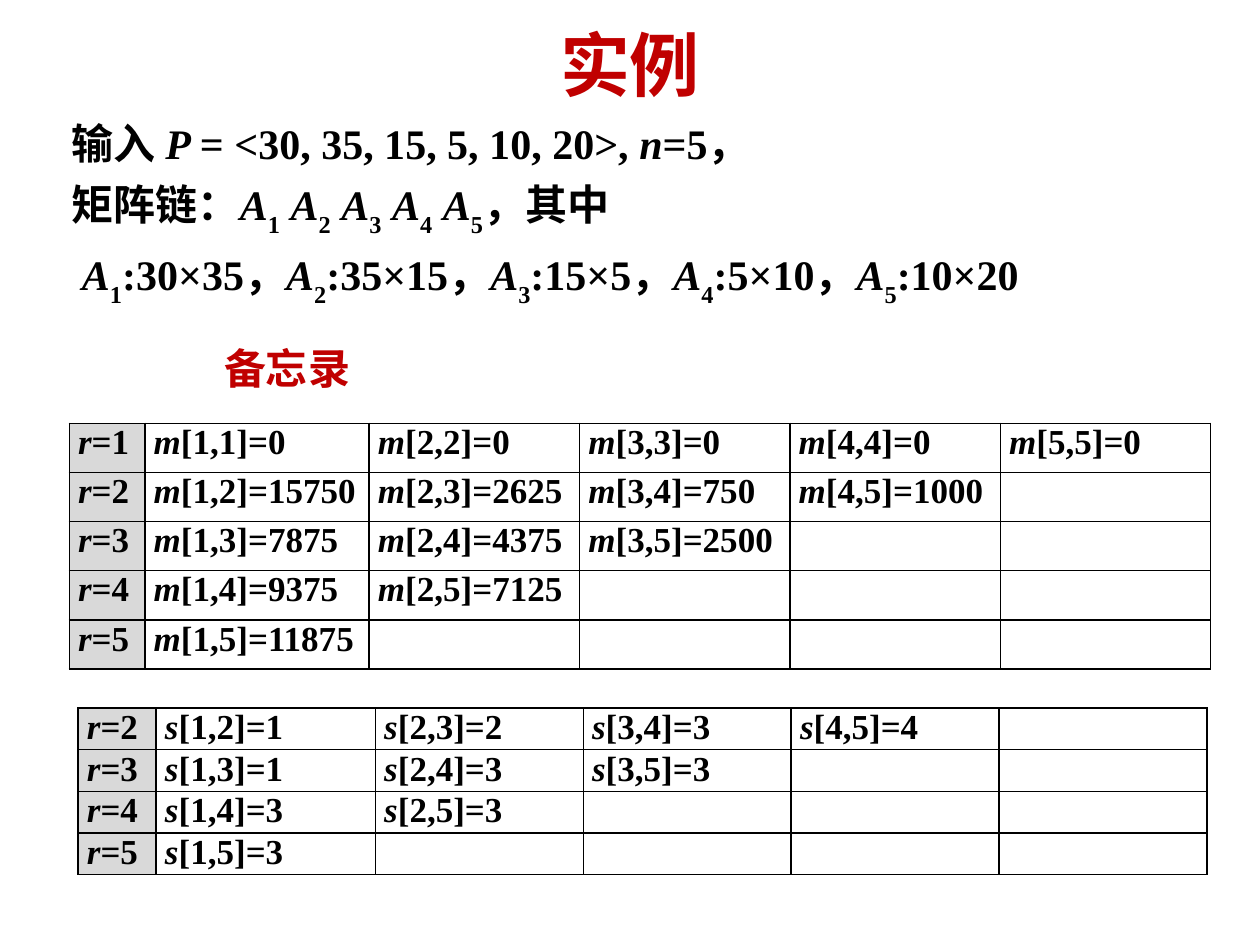
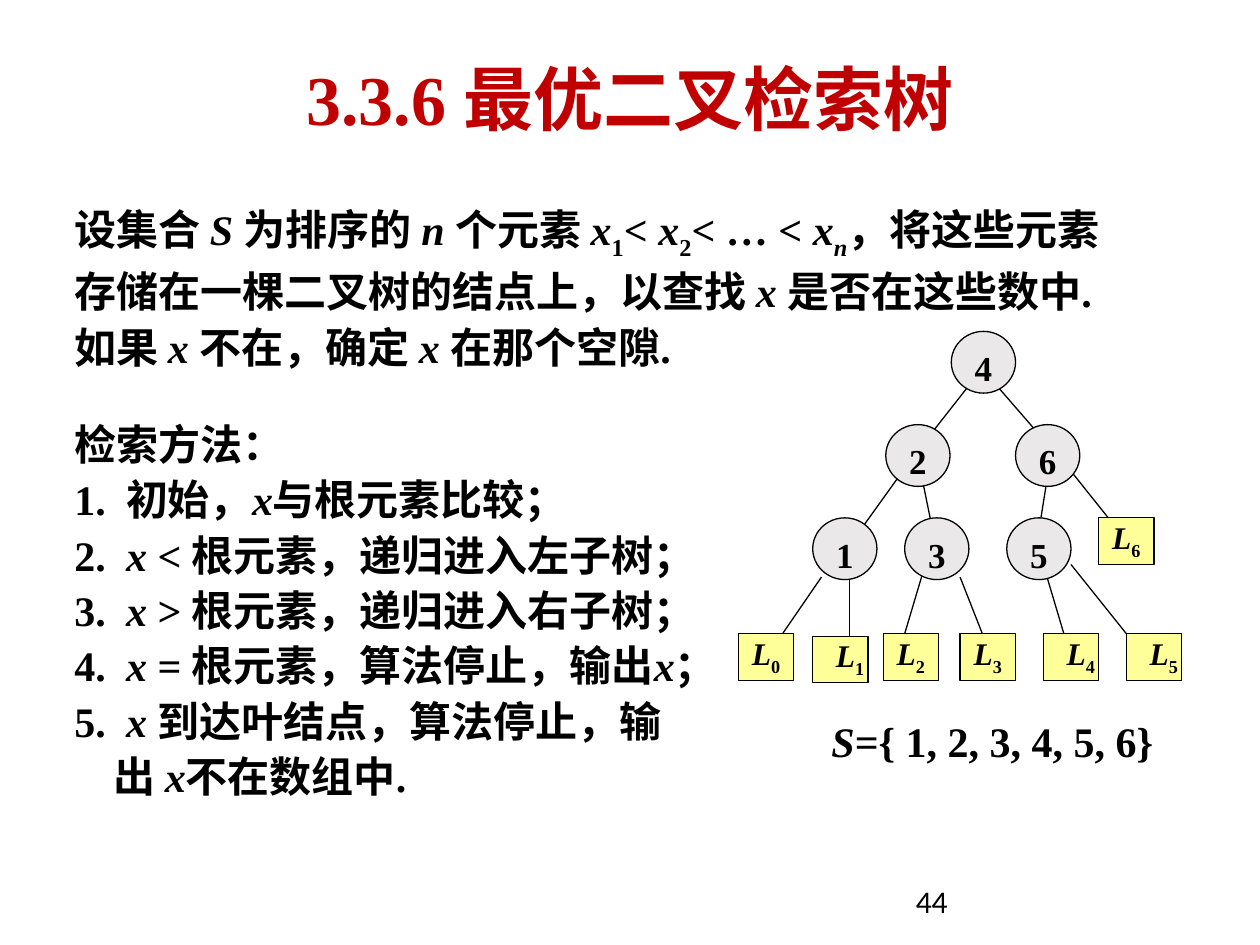
from lxml import etree
from pptx import Presentation
from pptx.dml.color import RGBColor
from pptx.enum.shapes import MSO_CONNECTOR, MSO_SHAPE
from pptx.enum.text import MSO_ANCHOR, MSO_AUTO_SIZE, PP_ALIGN
from pptx.oxml.ns import qn
from pptx.util import Inches, Pt

LEFT, MID, RIGHT, JUST = PP_ALIGN.LEFT, PP_ALIGN.CENTER, PP_ALIGN.RIGHT, PP_ALIGN.JUSTIFY
TOP, CENTER = MSO_ANCHOR.TOP, MSO_ANCHOR.MIDDLE
OVAL, RECT = MSO_SHAPE.OVAL, MSO_SHAPE.RECTANGLE
LINE = MSO_CONNECTOR.STRAIGHT
FIXED = MSO_AUTO_SIZE.NONE

HEX = {"ink": "000000", "red": "C00000", "gray": "D9D9D9", "node": "EAE8E8", "leaf": "FFFF99"}
SERIF, SANS = "Times New Roman", "Calibri"


def tint(name):
    return RGBColor.from_string(HEX[name])


def add_run(para, text, font=SERIF, size=24, color="ink", bold=True, italic=False, sub=None):
    run = para.add_run()
    run.text = text
    face = run.font
    face.name, face.size, face.bold, face.italic = font, Pt(size), bold, italic
    face.color.rgb = tint(color)
    if sub:
        run._r.get_or_add_rPr().set("baseline", str(-sub * 1000))


def put(frame, text, align=LEFT, line=1.0, before=0, hang=None, sub=25, **style):
    """Asterisks enclose italics and tildes enclose subscripts."""
    para = frame.paragraphs[-1]
    if para.runs:
        para = frame.add_paragraph()
    para.alignment, para.line_spacing, para.space_before = align, line, Pt(before)
    if hang:
        props = para._p.get_or_add_pPr()
        margin, indent = hang
        props.set("marL", str(Inches(margin)))
        props.set("indent", str(Inches(indent)))
        etree.SubElement(props, qn("a:buNone"))
    for i, part in enumerate(text.split("~")):
        for j, bit in enumerate(part.split("*")):
            if bit:
                add_run(para, bit, italic=j % 2 == 1, sub=sub if i % 2 else None, **style)


class Deck:
    def __init__(self):
        self.prs = Presentation()
        self.prs.slide_width, self.prs.slide_height = Inches(10), Inches(7.5)

    def start(self, name, top, number=""):
        self.slide = self.prs.slides.add_slide(self.prs.slide_layouts[1])
        self.shapes = self.slide.shapes
        title = self.shapes.title
        self.place(title, 0.5, top, 9, 0.69)
        para = title.text_frame.paragraphs[0]
        para.alignment = MID
        if number:
            add_run(para, number, size=40, color="red")
        add_run(para, name, font=SANS, size=40, color="red")

    def place(self, shape, left, top, width, height, anchor=CENTER):
        shape.left, shape.top = Inches(left), Inches(top)
        shape.width, shape.height = Inches(width), Inches(height)
        frame = shape.text_frame
        frame.word_wrap, frame.auto_size, frame.vertical_anchor = True, FIXED, anchor
        return frame

    def body(self, *box, anchor=CENTER):
        return self.place(self.slide.placeholders[1], *box, anchor=anchor)

    def label(self, text, *box, anchor=CENTER, **style):
        shape = self.shapes.add_textbox(0, 0, 0, 0)
        put(self.place(shape, *box, anchor=anchor), text, **style)

    def shape(self, kind, text, *box, fill, inset, **style):
        shape = self.shapes.add_shape(kind, 0, 0, 0, 0)
        frame = self.place(shape, *box, anchor=TOP)
        shape.shadow.inherit = False
        shape.fill.solid()
        shape.fill.fore_color.rgb = tint(fill)
        shape.line.color.rgb = tint("ink")
        shape.line.width = Pt(0.75)
        frame.margin_left = frame.margin_right = Inches(inset[0])
        frame.margin_top = frame.margin_bottom = Inches(inset[1])
        put(frame, text, **style)

    def link(self, *ends):
        line = self.shapes.add_connector(LINE, *map(Inches, ends))
        line.line.color.rgb = tint("ink")
        line.line.width = Pt(0.75)
        etree.SubElement(line._element.spPr, qn("a:effectLst"))

    def table(self, rows, left, top, widths, height):
        frame = self.shapes.add_table(
            len(rows), len(widths), Inches(left), Inches(top),
            Inches(sum(widths)), Inches(height * len(rows)))
        table = frame.table
        table.first_row = table.horz_banding = False
        for col, width in zip(table.columns, widths):
            col.width = Inches(width)
        for r, row in enumerate(rows):
            table.rows[r].height = Inches(height)
            for c in range(len(widths)):
                self.cell(table.cell(r, c), row[c] if c < len(row) else "", c == 0)

    def cell(self, cell, text, head):
        cell.margin_left = cell.margin_right = Inches(0.07)
        cell.margin_top = cell.margin_bottom = 0
        props = cell._tc.get_or_add_tcPr()
        for side in ("L", "R", "T", "B"):
            edge = etree.SubElement(props, qn(f"a:ln{side}"), w=str(Pt(1)))
            fill = etree.SubElement(edge, qn("a:solidFill"))
            etree.SubElement(fill, qn("a:srgbClr"), val=HEX["ink"])
        if head:
            cell.fill.solid()
            cell.fill.fore_color.rgb = tint("gray")
        else:
            cell.fill.background()
        put(cell.text_frame, text, align=JUST, size=20)


def grid(name, first, values):
    rows = []
    for r, row in enumerate(values, first):
        cells = [f"*{name}*[{i},{i + r - 1}]={v}" for i, v in enumerate(row, 1)]
        rows.append([f"*r*={r}"] + cells)
    return rows


COSTS = [[0] * 5, [15750, 2625, 750, 1000], [7875, 4375, 2500], [9375, 7125], [11875]]
SPLITS = [[1, 2, 3, 4], [1, 3, 3], [3, 3], [3]]
DIMS = [30, 35, 15, 5, 10, 20]

STEPS = [
    "初始，*x*与根元素比较；",
    "*x *< 根元素，递归进入左子树；",
    "*x *> 根元素，递归进入右子树；",
    "*x *= 根元素，算法停止，输出*x*；",
    "*x *到达叶结点，算法停止，输",
]
NODES = [(4, 7.55, 0), (2, 7.03, 1), (6, 8.06, 1), (1, 6.45, 2), (3, 7.18, 2), (5, 7.99, 2)]
LEAVES = [
    (5.86, 5.03, MID), (6.45, 5.05, RIGHT), (7.01, 5.03, MID), (7.62, 5.03, MID),
    (8.28, 5.03, RIGHT), (8.94, 5.03, RIGHT), (8.72, 4.11, MID),
]
LINKS = [
    (8.5, 3.74, 8.94, 4.29), (8.28, 4.48, 8.5, 5.22), (7.62, 4.58, 7.84, 5.14),
    (7.4, 4.29, 7.18, 5.03), (6.74, 4.48, 6.74, 5.14), (6.52, 4.58, 6.08, 5.22),
    (7.27, 3.56, 7.47, 4.54), (7.91, 3.06, 8.5, 3.74), (7.25, 3.62, 6.59, 4.54),
    (7.69, 3.06, 7.25, 3.62), (8.36, 3.49, 8.2, 4.5), (8.5, 4.48, 8.94, 5.03),
]


def draw_case(deck):
    deck.start("实例", 0.16)
    deck.table(grid("m", 1, COSTS), 0.55, 3.36, [0.6, 1.78] + [1.67] * 4, 0.39)
    deck.label("备忘录", 1.68, 2.64, 2.07, 0.56, color="red")
    deck.table(grid("s", 2, SPLITS), 0.62, 5.62, [0.62, 1.74] + [1.65] * 4, 0.33)
    frame = deck.body(0.47, 0.95, 8.9, 1.48)
    chain = " ".join(f"*A*~{i}~" for i in range(1, 6))
    sizes = "，".join(f"*A*~{i}~:{a}×{b}" for i, (a, b) in enumerate(zip(DIMS, DIMS[1:]), 1))
    nums = ", ".join(map(str, DIMS))
    put(frame, f"输入 *P *= <{nums}>, *n*=5，", hang=(0, 0))
    put(frame, f"矩阵链：{chain}，其中", before=6, hang=(0, 0), sub=30)
    put(frame, sizes, before=6, hang=(0.08, 0), sub=30)


def draw_tree(deck):
    deck.start("最优二叉检索树", 0.43, "3.3.6 ")
    deck.label("44", 7.17, 6.95, 2.33, 0.4, anchor=TOP, font=SANS, size=18, bold=False)
    deck.label("*S*={ 1, 2, 3, 4, 5, 6}", 6.5, 5.62, 2.79, 0.51)
    frame = deck.body(0.49, 1.52, 8.66, 5.28, anchor=TOP)
    put(frame, "设集合 *S *为排序的 *n *个元素 *x*~1~< *x*~2~< … < *x*~*n*~，"
        "将这些元素存储在一棵二叉树的结点上，以查找 *x *是否在这些数中. "
        "如果 *x *不在，确定 *x *在那个空隙.", line=1.1, hang=(0, 0))
    put(frame, "检索方法：", line=1.3, before=18, hang=(0, 0))
    for i, step in enumerate(STEPS, 1):
        put(frame, f"{i}.\t{step}", line=1.1, hang=(0.41, -0.41))
    put(frame, "出 *x*不在数组中.", line=1.1, hang=(0.31, 0))
    for ends in LINKS:
        deck.link(*ends)
    for key, left, level in NODES:
        deck.shape(OVAL, str(key), left, 2.63 + 0.74 * level, 0.51, 0.49,
                   fill="node", inset=(0.04, 0.05), align=MID, size=20)
    for i, (left, top, align) in enumerate(LEAVES):
        deck.shape(RECT, f"*L*~{i}~", left, top, 0.44, 0.37,
                   fill="leaf", inset=(0.03, 0), align=align, size=18)


def main():
    deck = Deck()
    draw_case(deck)
    draw_tree(deck)
    deck.prs.save("out.pptx")


if __name__ == "__main__":
    main()
